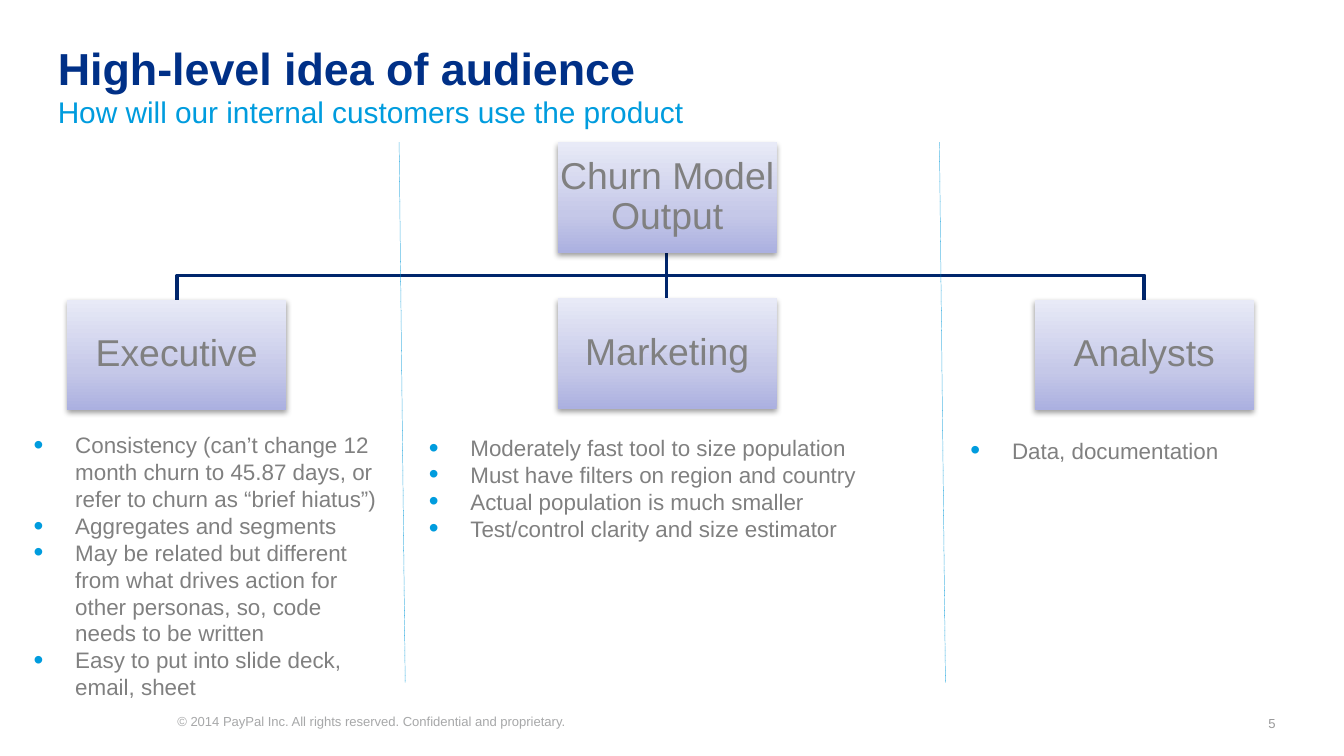
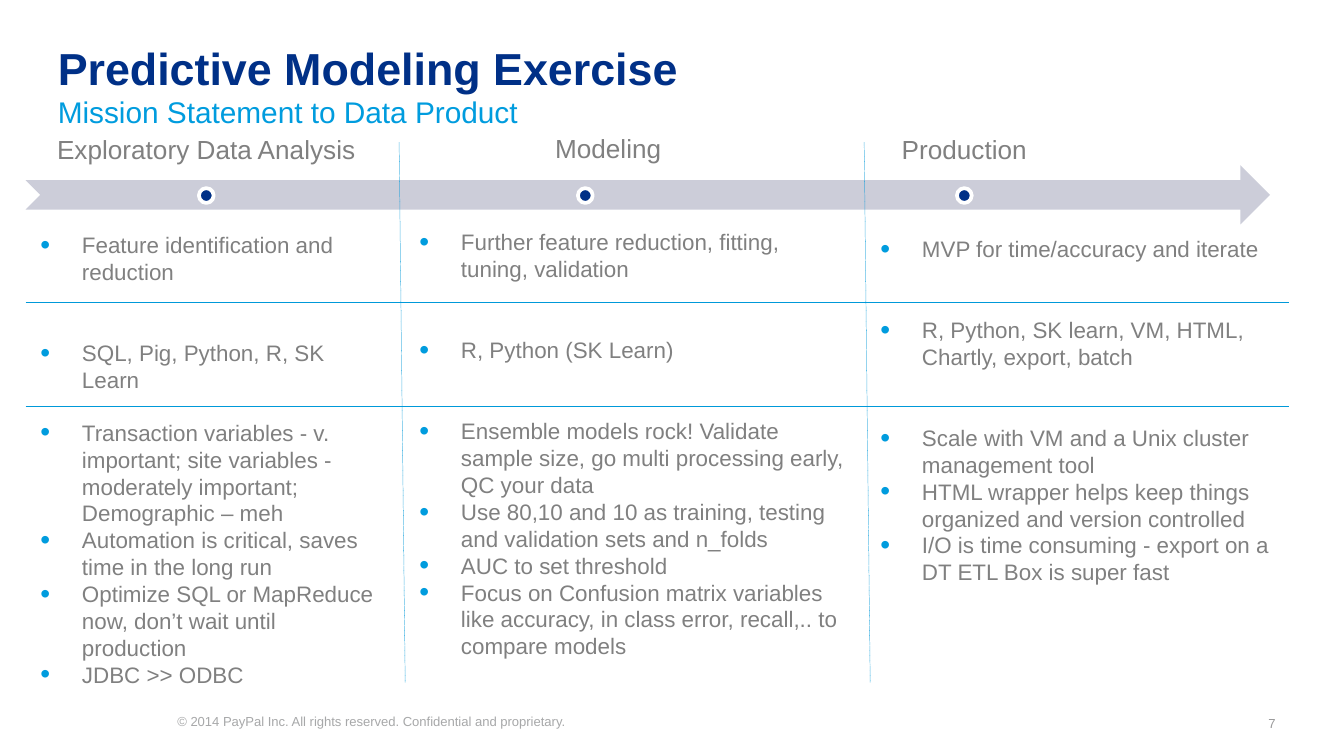
import pptx
import pptx.util
import pptx.dml.color
import pptx.enum.dml
import pptx.enum.shapes
import pptx.enum.text
import pptx.oxml.ns
from lxml import etree

PX = pptx.util.Inches(10) // 2000
NAVY, BLUE, RULE, TREE, GRAY = "003087", "009CDE", "0099D9", "00266C", "808080"
rgb = pptx.dml.color.RGBColor.from_string
qn = pptx.oxml.ns.qn
SHAPE = pptx.enum.shapes.MSO_SHAPE
ALIGN = pptx.enum.text.PP_ALIGN
ANCHOR = pptx.enum.text.MSO_ANCHOR


def write(sp, box, lines, size, color, align=ALIGN.LEFT, anchor=ANCHOR.TOP,
          inset=(20, 10), bold=False, spacing=1.0):
    sp.left, sp.top, sp.width, sp.height = [v * PX for v in box]
    tf = sp.text_frame
    tf.text = "\n".join(lines)
    tf.word_wrap = True
    tf.auto_size = pptx.enum.text.MSO_AUTO_SIZE.NONE
    tf.vertical_anchor = anchor
    tf.margin_left = tf.margin_right = inset[0] * PX
    tf.margin_top = tf.margin_bottom = inset[1] * PX
    for p in tf.paragraphs:
        p.alignment = align
        p.line_spacing = spacing
        p.space_before = p.space_after = pptx.util.Pt(0)
        for r in p.runs:
            r.font.name = "Arial"
            r.font.size = pptx.util.Pt(size)
            r.font.bold = bold
            r.font.color.rgb = rgb(color)


def rule(s, x1, y1, x2, y2, color=RULE, width=0.25, dotted=True):
    cn = s.shapes.add_connector(pptx.enum.shapes.MSO_CONNECTOR.STRAIGHT,
                                x1 * PX, y1 * PX, x2 * PX, y2 * PX)
    cn.line.color.rgb = rgb(color)
    cn.line.width = pptx.util.Pt(width)
    if dotted:
        cn.line.dash_style = pptx.enum.dml.MSO_LINE.ROUND_DOT
    etree.SubElement(cn._element.spPr, qn("a:effectLst"))


prs = pptx.Presentation()
prs.slide_width, prs.slide_height = 2000 * PX, 1125 * PX

audience = [
    ((30, 632, 556, 414), [(0, [
        "Consistency (can’t change 12 month churn to 45.87 days, or refer to churn as “brief hiatus”)",
        "Aggregates and segments",
        "May be related but different from what drives action for other personas, so, code needs to be written",
        "Easy to put into slide deck, email, sheet"])]),
    ((618, 636, 736, 236), [(0, [
        "Moderately fast tool to size population",
        "Must have filters on region and country",
        "Actual population is much smaller",
        "Test/control clarity and size estimator"])]),
    ((1424, 640, 548, 174), [(0, ["Data, documentation"])]),
]
exercise = [
    ((40, 334, 550, 626), [
        (0, ["Feature identification and reduction"]),
        (29, ["SQL, Pig, Python, R, SK Learn"]),
        (14, ["Transaction variables - v. important; site variables - moderately important; Demographic – meh",
              "Automation is critical, saves time in the long run",
              "Optimize SQL or MapReduce now, don’t wait until production",
              "JDBC >> ODBC"])]),
    ((604, 330, 682, 554), [
        (0, ["Further feature reduction, fitting, tuning, validation"]),
        (29, ["R, Python (SK Learn)"]),
        (29, ["Ensemble models rock! Validate sample size, go multi processing early, QC your data",
              "Use 80,10 and 10 as training, testing and validation sets and n_folds",
              "AUC to set threshold",
              "Focus on Confusion matrix variables like accuracy, in class error, recall,.. to compare models"])]),
    ((1290, 340, 630, 554), [
        (0, ["MVP for time/accuracy and iterate"]),
        (29, ["R, Python, SK learn, VM, HTML, Chartly, export, batch"]),
        (29, ["Scale with VM and a Unix cluster management tool",
              "HTML wrapper helps keep things organized and version controlled",
              "I/O is time consuming - export on a DT ETL Box is super fast"])]),
]
pages = [
    ("5", "High-level idea of audience",
     "How will our internal customers use the product", audience),
    ("7", "Predictive Modeling Exercise",
     "Mission Statement to Data Product", exercise),
]

for number, title, subtitle, columns in pages:
    s = prs.slides.add_slide(prs.slide_layouts.get_by_name("Comparison"))
    head, sub, *bodies = s.placeholders
    write(head, (66, 50, 1800, 78), [title], 24, NAVY, bold=True)
    write(sub, (66, 130, 1800, 84), [subtitle], 16, BLUE)
    write(s.shapes.add_textbox(0, 0, 0, 0), (264, 1062, 792, 36),
          ["© 2014 PayPal Inc. All rights reserved. Confidential and proprietary."],
          7, "A7A8A9", inset=(0, 0))
    write(s.shapes.add_textbox(0, 0, 0, 0), (1844, 1046, 74, 60), [number],
          7, "99999A", ALIGN.RIGHT, ANCHOR.MIDDLE)
    for sp, (box, groups) in zip(bodies, columns):
        write(sp, box, [t for gap, items in groups for t in items], 12, GRAY)
        gaps = [gap if i == 0 else 0 for gap, items in groups for i in range(len(items))]
        for p, gap in zip(sp.text_frame.paragraphs, gaps):
            p.space_before = pptx.util.Pt(gap)
            pPr = p._p.get_or_add_pPr()
            pPr.set("marL", str(62 * PX))
            pPr.set("indent", str(-62 * PX))
            clr = etree.SubElement(pPr, qn("a:buClr"))
            etree.SubElement(clr, qn("a:srgbClr"), val=BLUE)
            etree.SubElement(pPr, qn("a:buSzPct"), val="125000")
            etree.SubElement(pPr, qn("a:buFont"), typeface="Arial")
            etree.SubElement(pPr, qn("a:buChar"), char="•")

s = prs.slides[0]
for x in (264, 1703):
    fb = s.shapes.build_freeform(992, 376, scale=PX)
    fb.add_line_segments([(992, 410), (x, 410), (x, 446)], close=False)
    sp = fb.convert_to_shape()
    sp.shadow.inherit = False
    sp.fill.background()
    sp.line.color.rgb = rgb(TREE)
    sp.line.width = pptx.util.Pt(2)
rule(s, 992, 376, 992, 444, TREE, 2, False)

for x, y, name in ((830, 212, "Churn Model Output"), (100, 446, "Executive"),
                   (830, 444, "Marketing"), (1540, 446, "Analysts")):
    sp = s.shapes.add_shape(SHAPE.RECTANGLE, 0, 0, 0, 0)
    write(sp, (x, y, 326, 164), [name], 20, GRAY, ALIGN.CENTER, ANCHOR.MIDDLE,
          (2, 2), spacing=0.9)
    sp.line.fill.background()
    sp.fill.gradient()
    sp.fill.gradient_angle = 90
    stops = sp._element.spPr.find(".//" + qn("a:gsLst"))
    for gs in list(stops):
        stops.remove(gs)
    for pos, color in ((0, "ABB0E0"), (35, "C5C8E8"), (100, "E8EAF7")):
        gs = etree.SubElement(stops, qn("a:gs"), pos=str(pos * 1000))
        etree.SubElement(gs, qn("a:srgbClr"), val=color)
    sp.shadow.inherit = False
    effects = sp._element.spPr.find(qn("a:effectLst"))
    shadow = etree.SubElement(effects, qn("a:outerShdw"), blurRad="40000",
                              dist="20000", dir="5400000", rotWithShape="0")
    clr = etree.SubElement(shadow, qn("a:srgbClr"), val="000000")
    etree.SubElement(clr, qn("a:alpha"), val="38000")

s = prs.slides[1]
sp = s.shapes.add_shape(SHAPE.NOTCHED_RIGHT_ARROW, 38 * PX, 246 * PX, 1852 * PX, 88 * PX)
sp.shadow.inherit = False
sp.fill.solid()
sp.fill.fore_color.rgb = rgb("CCCDD9")
sp.line.fill.background()
stages = ((38, "Exploratory Data Analysis", ANCHOR.BOTTOM),
          (636, "Modeling", ANCHOR.TOP), (1166, "Production", ANCHOR.BOTTOM))
for i, (x, name, anchor) in enumerate(stages):
    write(s.shapes.add_textbox(0, 0, 0, 0), (x, 180, 538, 88), [name], 14, GRAY,
          ALIGN.CENTER, anchor, (22, 22), spacing=0.9)
    sp = s.shapes.add_shape(SHAPE.OVAL, (296 + 564 * i) * PX, 280 * PX, 22 * PX, 22 * PX)
    sp.shadow.inherit = False
    sp.fill.solid()
    sp.fill.fore_color.rgb = rgb(NAVY)
    sp.line.color.rgb = rgb("FFFFFF")
    sp.line.width = pptx.util.Pt(2)
for y in (450, 604):
    rule(s, 38, y, 1918, y)

for s, divider in zip(prs.slides, (1398, 1286)):
    for x in (594, divider):
        rule(s, x, 212, x + 9, 1016)

prs.save("out.pptx")
